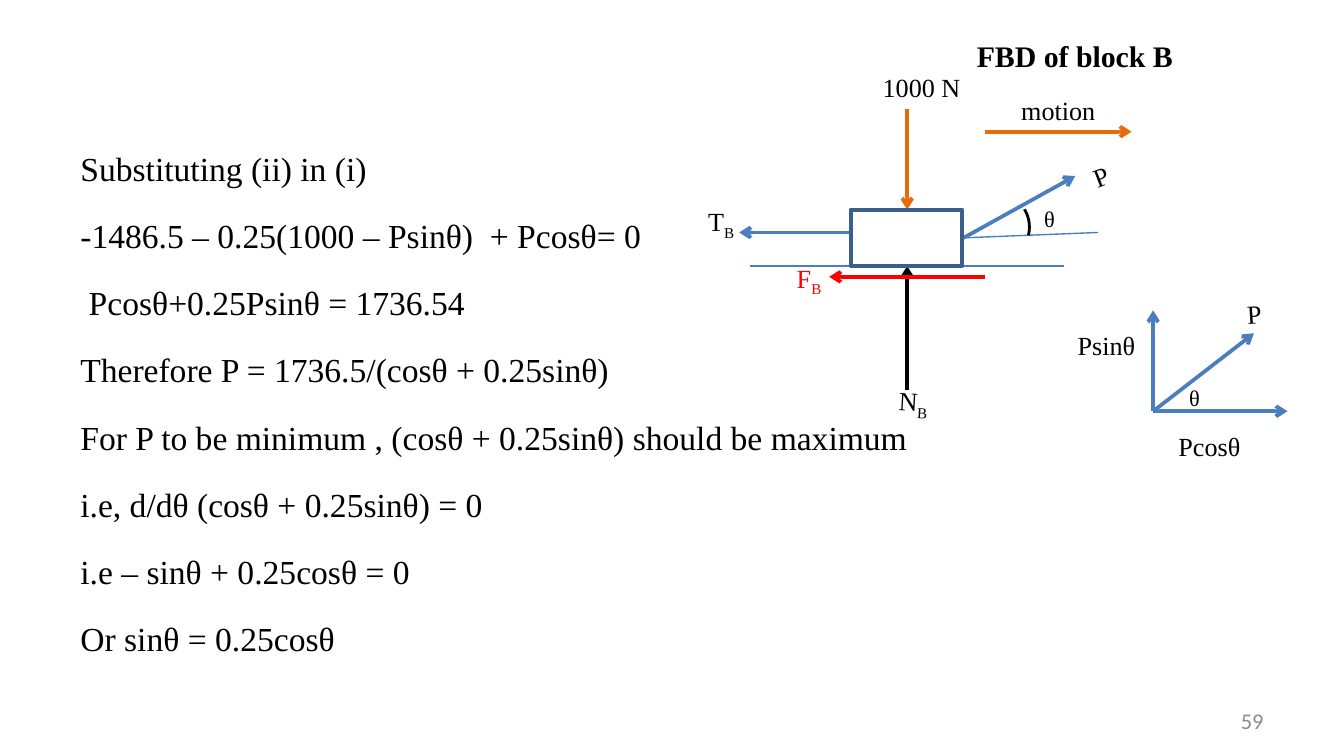
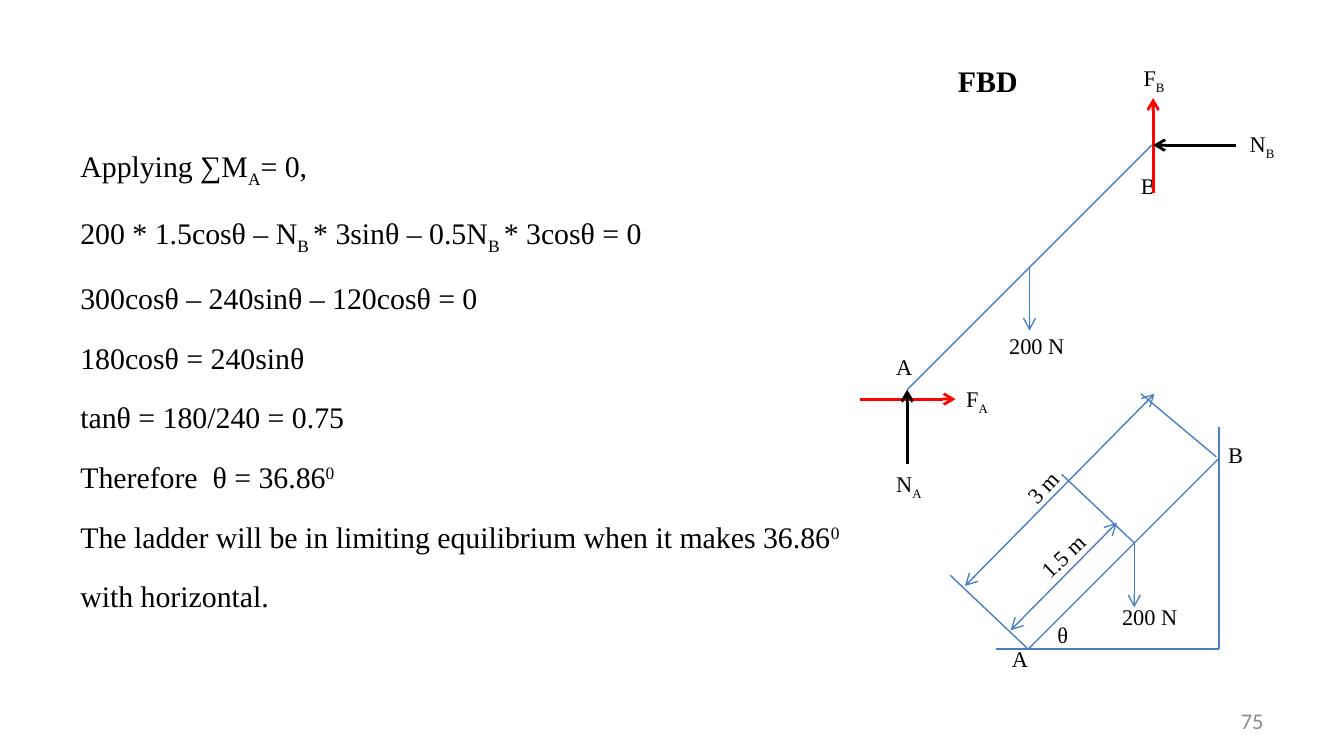
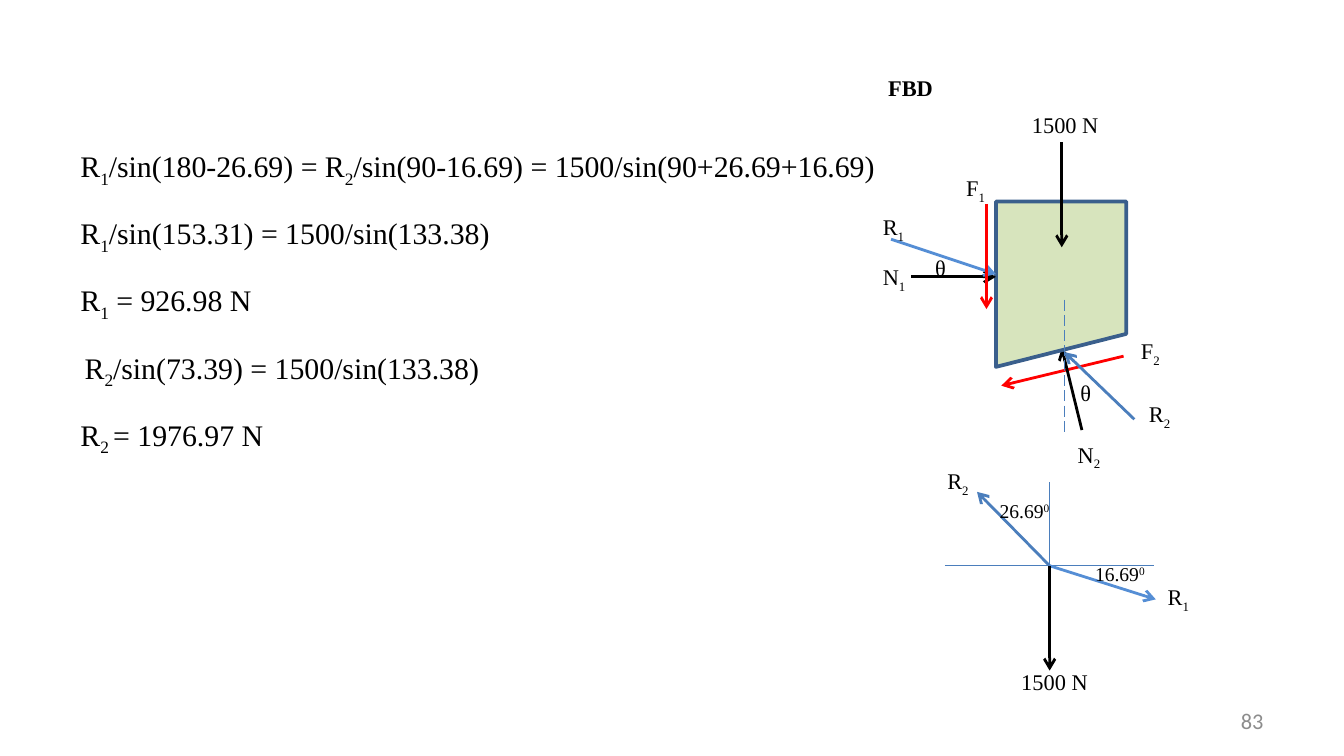
import pptx
import pptx.dml.color
import pptx.enum.dml
import pptx.enum.shapes
import pptx.enum.text
import pptx.oxml
import pptx.oxml.ns
import pptx.util

INCH = 2.54
SERIF = "Times New Roman"
SANS = "Calibri"
BLACK = pptx.dml.color.RGBColor(0x00, 0x00, 0x00)
WHITE = pptx.dml.color.RGBColor(0xFF, 0xFF, 0xFF)
GRAY = pptx.dml.color.RGBColor(0x8C, 0x8C, 0x8C)
RED = pptx.dml.color.RGBColor(0xFF, 0x00, 0x00)
ORANGE = pptx.dml.color.RGBColor(0xE4, 0x6C, 0x0A)
BLUE = pptx.dml.color.RGBColor(0x4B, 0x7E, 0xBC)
SKY = pptx.dml.color.RGBColor(0x55, 0x8E, 0xD5)
NAVY = pptx.dml.color.RGBColor(0x3A, 0x5F, 0x8C)
GREEN = pptx.dml.color.RGBColor(0xD7, 0xE4, 0xBD)
SHAPE = pptx.enum.shapes.MSO_SHAPE
ALIGN = pptx.enum.text.PP_ALIGN


def span(*sizes):
    return [pptx.util.Cm(size * INCH) for size in sizes]


def sub(text):
    return text, -25


def sup(text):
    return text, 30


def write(para, parts, size, color=BLACK, bold=False, face=SERIF):
    for part in parts:
        text, base = (part, 0) if isinstance(part, str) else part
        run = para.add_run()
        run.text = text
        run.font.size = pptx.util.Pt(size)
        run.font.name = face
        run.font.bold = bold
        run.font.color.rgb = color
        if base:
            run.font._element.set("baseline", str(base * 1000))


def frame(slide, left, top, width, height):
    box = slide.shapes.add_textbox(*span(left, top, width, height))
    box.text_frame.word_wrap = True
    return box


def label(slide, left, top, width, *parts, size=12, color=BLACK, bold=False, turn=0):
    box = frame(slide, left, top, width, size / 60 + 0.1)
    box.text_frame.auto_size = pptx.enum.text.MSO_AUTO_SIZE.SHAPE_TO_FIT_TEXT
    box.rotation = turn
    write(box.text_frame.paragraphs[0], parts, size, color, bold)


def body(slide, rows, size):
    text = frame(slide, 0.5, 0.9, 9, 4.13).text_frame
    for place, parts in enumerate(rows):
        para = text.add_paragraph() if place else text.paragraphs[0]
        para.alignment = ALIGN.JUSTIFY
        para.line_spacing = 1.5
        if place:
            para.space_before = pptx.util.Pt(size * 0.2)
        write(para, parts, size)


def footer(slide, number):
    text = frame(slide, 7.17, 5.21, 2.33, 0.3).text_frame
    text.vertical_anchor = pptx.enum.text.MSO_ANCHOR.MIDDLE
    text.paragraphs[0].alignment = ALIGN.RIGHT
    write(text.paragraphs[0], [number], 12, GRAY, face=SANS)


def line(slide, start, end, color=BLUE, width=0.75, ends=(), dash=None):
    link = slide.shapes.add_connector(
        pptx.enum.shapes.MSO_CONNECTOR.STRAIGHT, *span(*start, *end))
    link.line.color.rgb = color
    link.line.width = pptx.util.Pt(width)
    if dash:
        link.line.dash_style = dash
    for end_name in ends:
        tip = pptx.oxml.parse_xml(
            f'<a:{end_name} {pptx.oxml.ns.nsdecls("a")} type="arrow"/>')
        link.line._get_or_add_ln().append(tip)
    link._element.spPr.append(
        pptx.oxml.parse_xml(f'<a:effectLst {pptx.oxml.ns.nsdecls("a")}/>'))


def arrow(slide, start, end, color=BLUE, width=1.5):
    line(slide, start, end, color, width, ["tailEnd"])


def gauge(slide, start, end):
    line(slide, start, end, ends=["headEnd", "tailEnd"])


def solid(slide, kind, place, fill, edge=NAVY, width=2, turn=0):
    form = slide.shapes.add_shape(kind, *span(*place))
    form.shadow.inherit = False
    form.rotation = turn
    if fill is None:
        form.fill.background()
    else:
        form.fill.solid()
        form.fill.fore_color.rgb = fill
    form.line.color.rgb = edge
    form.line.width = pptx.util.Pt(width)
    return form


def page(deck, number, rows, size):
    slide = deck.slides.add_slide(deck.slide_layouts[6])
    body(slide, rows, size)
    footer(slide, number)
    return slide


def block(deck):
    slide = page(deck, "59", [
        ["Substituting (ii) in (i)"],
        ["-1486.5 – 0.25(1000 – Psinθ)  + Pcosθ= 0"],
        [" Pcosθ+0.25Psinθ = 1736.54"],
        ["Therefore P = 1736.5/(cosθ + 0.25sinθ)"],
        ["For P to be minimum , (cosθ + 0.25sinθ) should be maximum"],
        ["i.e, d/dθ (cosθ + 0.25sinθ) = 0"],
        ["i.e – sinθ + 0.25cosθ = 0"],
        ["Or sinθ = 0.25cosθ "],
    ], 18)
    root = (8.58, 3.06)
    pull = (7.17, 1.77)
    for tip in [(8.58, 2.31), (9.58, 3.06), (9.33, 2.48)]:
        arrow(slide, root, tip, width=2)
    line(slide, (5.58, 1.98), (7.92, 1.98))
    for start, end, color in [
        ((6.33, 1.73), (5.5, 1.73), BLUE),
        ((6.75, 2.9), (6.75, 1.98), BLACK),
        ((6.75, 0.81), (6.75, 1.56), ORANGE),
        ((7.33, 2.06), (6.17, 2.06), RED),
        ((7.33, 0.98), (8.42, 0.98), ORANGE),
        (pull, (8, 1.31), BLUE),
    ]:
        arrow(slide, start, end, color, 2)
    solid(slide, SHAPE.RECTANGLE, (6.33, 1.56, 0.83, 0.42), WHITE)
    line(slide, pull, (8.17, 1.73))
    arc = solid(slide, SHAPE.ARC, (7.33, 1.48, 0.33, 0.42), None, BLACK, 1.5)
    arc.adjustments[0] = 188.45
    arc.adjustments[1] = 12.72
    for left, top, width, parts, turn in [
        (7.92, 2.4, 1.33, ["Psinθ"], 0),
        (8.67, 3.15, 1.33, ["Pcosθ"], 0),
        (5.17, 1.48, 0.7, ["T", sub("B")], 0),
        (6.42, 0.48, 0.92, [" 1000 N"], 0),
        (6.59, 2.82, 0.5, ["N", sub("B")], 3.3),
        (7.5, 0.65, 1.14, ["motion"], 0),
        (8.03, 1.11, 0.5, ["P"], 339),
        (9.18, 2.16, 0.5, ["P"], 356.5),
    ]:
        label(slide, left, top, width, *parts, size=14, turn=turn)
    label(slide, 5.83, 1.9, 0.5, "F", sub("B"), size=14, color=RED)
    label(slide, 7.67, 1.48, 0.58, "θ")
    label(slide, 8.75, 2.81, 0.58, "θ")
    label(slide, 7.17, 0.23, 1.83, "FBD of block B", size=16, bold=True)


def ladder(deck):
    slide = page(deck, "75", [
        ["Applying ∑M", sub("A"), "= 0, "],
        ["200 * 1.5cosθ – N", sub("B "), "* 3sinθ – 0.5N", sub("B "), "* 3cosθ = 0"],
        ["300cosθ – 240sinθ – 120cosθ = 0"],
        ["180cosθ = 240sinθ"],
        ["tanθ = 180/240 = 0.75"],
        ["Therefore  θ = 36.86", sup("0")],
        ["The ladder will be in limiting equilibrium when it makes 36.86", sup("0")],
        ["with horizontal."],
    ], 16)
    for left, top, width, parts, turn in [
        (8.39, 1.23, 0.35, ["B"], 0),
        (6.57, 2.58, 0.5, ["A"], 0),
        (8.41, 0.43, 0.71, ["F", sub("B")], 0),
        (7.41, 2.42, 0.71, ["200 N"], 0),
        (9.2, 0.92, 0.71, ["N", sub("B")], 0),
        (7.09, 2.82, 0.71, ["F", sub("A")], 0),
        (6.57, 3.45, 0.71, ["N", sub("A")], 0),
        (9.04, 3.23, 0.5, ["B"], 0),
        (7.43, 4.75, 0.5, ["A"], 0),
        (7.49, 3.38, 0.71, ["3 m"], 312.9),
        (8.25, 4.44, 0.71, ["200 N"], 0),
        (7.6, 3.94, 0.71, ["1.5 m"], 316.4),
        (7.77, 4.57, 0.7, ["θ"], 0),
    ]:
        label(slide, left, top, width, *parts, turn=turn)
    label(slide, 7.03, 0.42, 0.73, "FBD", size=16, bold=True)
    foot, top, mid = (7.65, 4.83), (9.07, 3.41), (8.44, 4.04)
    wall = (9.07, 4.83)
    for start, end in [
        ((6.75, 2.9), (8.57, 1.08)),
        ((7.41, 4.83), wall),
        (wall, (9.07, 3.18)),
        (foot, top),
        (foot, (7.07, 4.28)),
        ((9.05, 3.4), (8.49, 2.93)),
        (mid, (7.9, 3.53)),
    ]:
        line(slide, start, end)
    arrow(slide, (7.66, 1.99), (7.66, 2.46), width=0.75)
    arrow(slide, mid, (8.44, 4.52), width=0.75)
    gauge(slide, (7.18, 4.36), (8.59, 2.93))
    gauge(slide, (7.52, 4.69), (8.31, 3.89))
    arrow(slide, (8.58, 1.44), (8.58, 0.73), RED)
    arrow(slide, (9.2, 1.08), (8.58, 1.08), BLACK)
    arrow(slide, (6.4, 2.97), (7.11, 2.97), RED)
    arrow(slide, (6.75, 3.45), (6.75, 2.9), BLACK)


def wedge(deck):
    slide = page(deck, "83", [
        ["R", sub("1"), "/sin(180-26.69) = R", sub("2"),
         "/sin(90-16.69) = 1500/sin(90+26.69+16.69)"],
        ["R", sub("1"), "/sin(153.31) = 1500/sin(133.38)"],
        ["R", sub("1"), " = 926.98 N"],
        [sub(" "), "R", sub("2"), "/sin(73.39) = 1500/sin(133.38)"],
        ["R", sub("2 "), "= 1976.97 N"],
    ], 16)
    arrow(slide, (8.36, 2.65), (7.45, 2.87), RED)
    arrow(slide, (8.05, 3.2), (7.9, 2.59), BLACK)
    solid(slide, SHAPE.FLOWCHART_MANUAL_INPUT, (7.41, 1.5, 0.97, 1.23), GREEN, turn=180)
    line(slide, (7.92, 2.23), (7.92, 3.22),
         dash=pptx.enum.dml.MSO_LINE.LONG_DASH)
    hub = (7.81, 4.21)
    line(slide, (7.81, 3.59), (7.81, 4.84))
    line(slide, (7.03, 4.21), (8.59, 4.21))
    for start, end, color in [
        ((7.9, 1.06), (7.9, 1.84), BLACK),
        ((8.44, 3.12), (7.92, 2.62), BLUE),
        ((6.78, 2.06), (7.41, 2.06), BLACK),
        ((6.63, 1.78), (7.41, 2.04), SKY),
        ((7.34, 1.52), (7.34, 2.3), RED),
        (hub, (7.27, 3.66), BLUE),
        (hub, (8.6, 4.46), SKY),
        (hub, (7.81, 4.99), BLACK),
    ]:
        arrow(slide, start, end, color)
    for left, top, name, index in [
        (7.09, 1.25, "F", "1"),
        (6.47, 1.54, "R", "1"),
        (6.47, 1.91, "N", "1"),
        (7.92, 3.23, "N", "2"),
        (8.45, 2.93, "R", "2"),
        (8.39, 2.46, "F", "2"),
        (6.95, 3.43, "R", "2"),
        (8.59, 4.29, "R", "1"),
    ]:
        label(slide, left, top, 0.71, name, sub(index))
    label(slide, 7.58, 0.78, 0.71, "1500 N")
    label(slide, 7.5, 4.92, 0.71, "1500 N")
    label(slide, 7.94, 2.77, 0.3, "θ")
    label(slide, 6.86, 1.84, 0.24, "θ")
    label(slide, 7.34, 3.66, 0.71, "26.69", sup("0"), size=10.5)
    label(slide, 8.05, 4.13, 0.71, "16.69", sup("0"), size=10.5)
    label(slide, 6.51, 0.5, 0.71, "FBD", bold=True)


def main():
    deck = pptx.Presentation()
    deck.slide_width = pptx.util.Cm(25.4)
    deck.slide_height = deck.slide_width * 9 // 16
    block(deck)
    ladder(deck)
    wedge(deck)
    deck.save("out.pptx")


if __name__ == "__main__":
    main()
